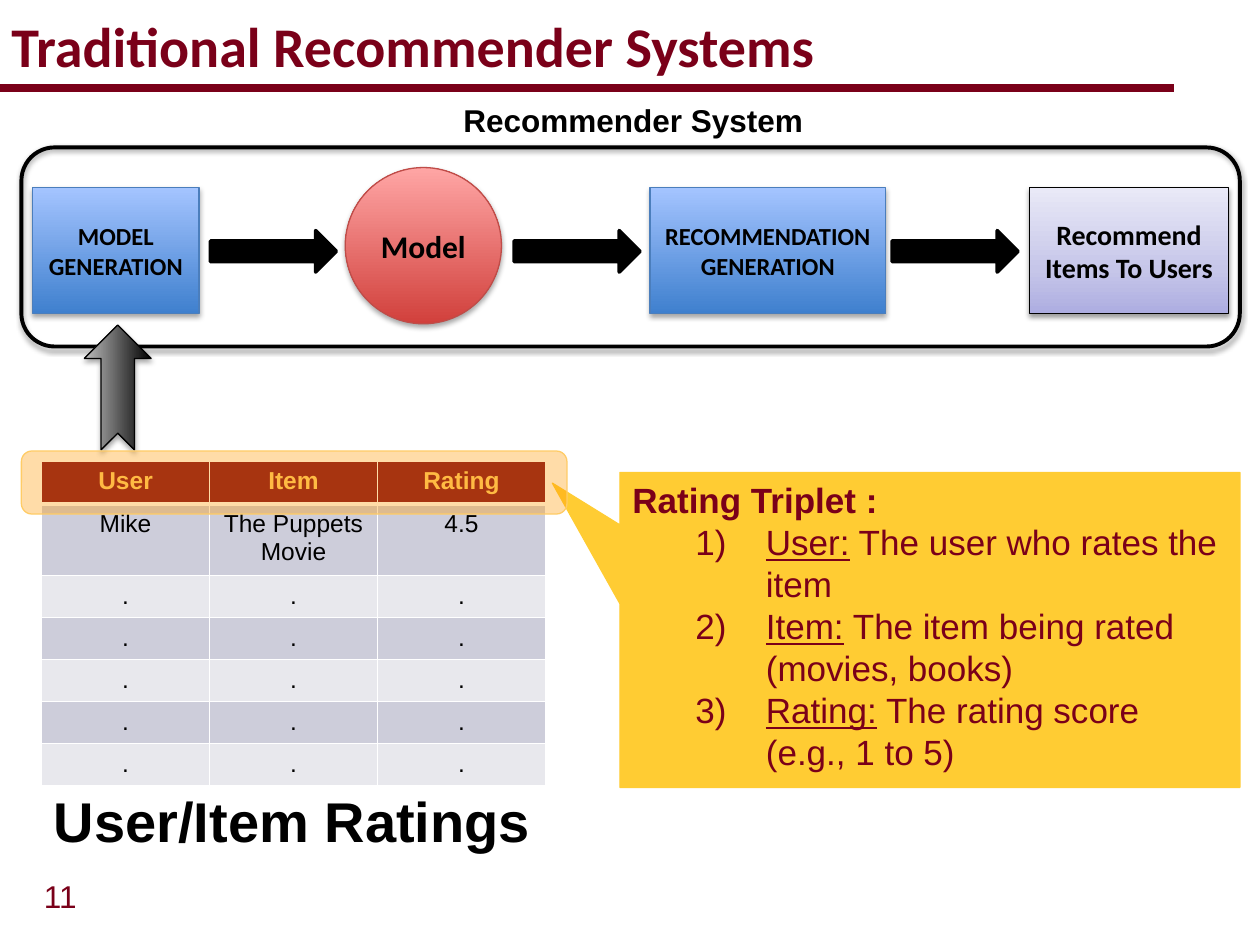
from copy import deepcopy

from lxml.etree import SubElement
from pptx import Presentation
from pptx.dml.color import RGBColor
from pptx.enum.shapes import MSO_CONNECTOR, MSO_SHAPE
from pptx.enum.text import MSO_ANCHOR, MSO_AUTO_SIZE, PP_ALIGN
from pptx.oxml.ns import qn
from pptx.util import Inches, Pt

COLORS = {
    "maroon": "7A0019", "gold": "FFCC33", "pale_gold": "FFCC66", "orange": "FF9900",
    "black": "000000", "white": "FFFFFF", "gray": "BDBDBD",
    "blue": "3F80CE", "light_blue": "A4C4FF", "blue_line": "4B7EBC",
    "red": "D1403C", "light_red": "FFA6A5", "red_line": "BF4C48",
    "lavender": "ADADE1", "mid_lavender": "C6C6E9", "light_lavender": "E9E9F7",
    "band_dark": "CDCDDA", "band_light": "E8E8ED",
}
BLUE = [(0, "blue"), (1, "light_blue")]
RED = [(0, "red"), (1, "light_red")]
GRAY = [(0, "black"), (1, "gray")]
LAVENDER = [(0, "lavender"), (0.35, "mid_lavender"), (1, "light_lavender")]
SOFT = (35, 1.8)
DEEP = (38, 1.6)


def rgb(name):
    return RGBColor.from_string(COLORS[name])


def add_text(p, text, size=18, font="Arial", color="black", bold=False,
             underline=False, align=None):
    if align is not None:
        p.alignment = align
    r = p.add_run()
    r.text = text
    r.font.size = Pt(size)
    r.font.name = font
    r.font.color.rgb = rgb(color)
    r.font.bold = bold
    r.font.underline = underline


def add_label(s, box, text, wrap=False, **fmt):
    sp = s.shapes.add_textbox(*map(Inches, box))
    tf = sp.text_frame
    tf.word_wrap = wrap
    tf.auto_size = MSO_AUTO_SIZE.SHAPE_TO_FIT_TEXT
    add_text(tf.paragraphs[0], text, **fmt)


def set_gradient(fill, stops):
    fill.gradient()
    fill.gradient_angle = 90
    gs_list = fill.gradient_stops._gsLst
    while len(gs_list) < len(stops):
        gs_list.append(deepcopy(gs_list[0]))
    for stop, (position, color) in zip(fill.gradient_stops, stops):
        stop.position = position
        stop.color.rgb = rgb(color)


def set_shadow(sp, opacity, distance):
    effects = sp._element.spPr.find(qn("a:effectLst"))
    shadow = SubElement(effects, qn("a:outerShdw"), blurRad=str(Pt(3.1)),
                        dist=str(Pt(distance)), dir="5400000", rotWithShape="0")
    color = SubElement(shadow, qn("a:srgbClr"), val=COLORS["black"])
    SubElement(color, qn("a:alpha"), val=str(opacity * 1000))


def add_box(s, kind, box, fill=None, line="black", width=0.75, shadow=None,
            text=None, size=14):
    sp = s.shapes.add_shape(kind, *map(Inches, box))
    if fill is None:
        sp.fill.background()
    elif isinstance(fill, list):
        set_gradient(sp.fill, fill)
    else:
        sp.fill.solid()
        sp.fill.fore_color.rgb = rgb(fill)
    sp.line.color.rgb = rgb(line)
    sp.line.width = Pt(width)
    sp.shadow.inherit = False
    if shadow:
        set_shadow(sp, *shadow)
    if text:
        tf = sp.text_frame
        tf.word_wrap = True
        tf.vertical_anchor = MSO_ANCHOR.MIDDLE
        add_text(tf.paragraphs[0], text, size=size, font="Calibri", bold=True,
                 align=PP_ALIGN.CENTER)
    return sp


def add_title(s, text):
    sp = s.shapes.title
    sp.left, sp.top, sp.width, sp.height = map(Inches, (-0.01, 0.06, 9.02, 0.6))
    tf = sp.text_frame
    tf.auto_size = MSO_AUTO_SIZE.NONE
    tf.vertical_anchor = MSO_ANCHOR.MIDDLE
    add_text(tf.paragraphs[0], text, size=32, font="Calibri", color="maroon",
             bold=True, align=PP_ALIGN.LEFT)


def add_rule(s):
    line = s.shapes.add_connector(MSO_CONNECTOR.STRAIGHT, Inches(-0.01), Inches(0.7),
                                  Inches(9.32), Inches(0.7))
    line.line.color.rgb = rgb("maroon")
    line.line.width = Pt(4.5)
    SubElement(line._element.spPr, qn("a:effectLst"))


def set_borders(cell, bottom):
    tc_pr = cell._tc.get_or_add_tcPr()
    for side, width in (("L", 1), ("R", 1), ("T", 1), ("B", bottom)):
        ln = SubElement(tc_pr, qn(f"a:ln{side}"), w=str(Pt(width)))
        fill = SubElement(ln, qn("a:solidFill"))
        SubElement(fill, qn("a:srgbClr"), val=COLORS["white"])


def add_ratings_table(s):
    rows = [["User", "Item", "Rating"], ["Mike", "The Puppets Movie", "4.5"]]
    rows += [["."] * 3 for _ in range(5)]
    table = s.shapes.add_table(len(rows), 3, Inches(0.33), Inches(3.66),
                               Inches(4), Inches(2.14)).table
    for i, row in enumerate(rows):
        header = i == 0
        table.rows[i].height = Inches(0.34 if header else 0.3)
        band = "maroon" if header else "band_dark" if i % 2 else "band_light"
        for j, text in enumerate(row):
            cell = table.cell(i, j)
            set_borders(cell, 3 if header else 1)
            cell.fill.solid()
            cell.fill.fore_color.rgb = rgb(band)
            add_text(cell.text_frame.paragraphs[0], text, size=14, bold=header,
                     color="pale_gold" if header else "black", align=PP_ALIGN.CENTER)


def add_callout(s):
    sp = add_box(s, MSO_SHAPE.RECTANGULAR_CALLOUT, (4.92, 3.75, 4.92, 2.5),
                 fill="gold", line="gold")
    sp.adjustments[0], sp.adjustments[1] = -0.609, -0.466
    tf = sp.text_frame
    tf.word_wrap = True
    tf.vertical_anchor = MSO_ANCHOR.TOP
    fmt = {"size": 20, "color": "maroon", "align": PP_ALIGN.LEFT}
    add_text(tf.paragraphs[0], "Rating Triplet :", bold=True, **fmt)
    items = [
        ("User:", [" The user who rates the item"]),
        ("Item:", [" The item being rated (movies, books)"]),
        ("Rating:", [" The rating score", "(e.g., 1 to 5)"]),
    ]
    for term, lines in items:
        p = tf.add_paragraph()
        p.level = 1
        p_pr = p._p.get_or_add_pPr()
        p_pr.set("marL", str(Inches(1.06)))
        p_pr.set("indent", str(Inches(-0.56)))
        SubElement(p_pr, qn("a:buAutoNum"), type="arabicParenR")
        add_text(p, term, underline=True, **fmt)
        for i, line in enumerate(lines):
            if i:
                p.add_line_break()
            add_text(p, line, **fmt)
    for p in tf.paragraphs:
        p.line_spacing = Pt(24)


def add_pipeline(s):
    add_box(s, MSO_SHAPE.RECTANGLE, (5.16, 1.49, 1.87, 1), BLUE, "blue_line",
            shadow=SOFT, text="RECOMMENDATION GENERATION")
    add_box(s, MSO_SHAPE.RECTANGLE, (0.26, 1.49, 1.32, 1), BLUE, "blue_line",
            shadow=SOFT, text="MODEL GENERATION")
    up = add_box(s, MSO_SHAPE.NOTCHED_RIGHT_ARROW, (0.44, 2.81, 0.99, 0.53), GRAY,
                 shadow=SOFT)
    up.rotation = 270
    add_box(s, MSO_SHAPE.OVAL, (2.74, 1.33, 1.24, 1.24), RED, "red_line",
            shadow=SOFT, text="Model", size=18)
    add_box(s, MSO_SHAPE.RECTANGLE, (8.17, 1.49, 1.58, 1), LAVENDER, shadow=DEEP,
            text="Recommend Items To Users", size=16)
    for left in (1.67, 4.08, 7.08):
        add_box(s, MSO_SHAPE.RIGHT_ARROW, (left, 1.83, 1, 0.33), "black", width=2)


def add_highlight(s):
    sp = add_box(s, MSO_SHAPE.ROUNDED_RECTANGLE, (0.17, 3.58, 4.33, 0.5), "orange",
                 "pale_gold")
    color = sp._element.spPr.find(qn("a:solidFill")).find(qn("a:srgbClr"))
    SubElement(color, qn("a:alpha"), val="34000")


def main():
    prs = Presentation()
    prs.slide_width, prs.slide_height = Inches(10), Inches(7.5)
    s = prs.slides.add_slide(prs.slide_layouts[5])
    add_label(s, (0.25, 6.91, 0.51, 0.4), "11", color="maroon")
    add_rule(s)
    add_box(s, MSO_SHAPE.ROUNDED_RECTANGLE, (0.17, 1.17, 9.67, 1.58), width=2.25,
            shadow=DEEP)
    add_title(s, "Traditional Recommender Systems")
    add_pipeline(s)
    add_ratings_table(s)
    add_callout(s)
    add_label(s, (3.58, 0.75, 2.92, 0.4), "Recommender System", bold=True)
    add_highlight(s)
    add_label(s, (0.33, 6.19, 4.02, 0.64), "User/Item Ratings", wrap=True, size=32,
              bold=True)
    prs.save("out.pptx")


if __name__ == "__main__":
    main()
